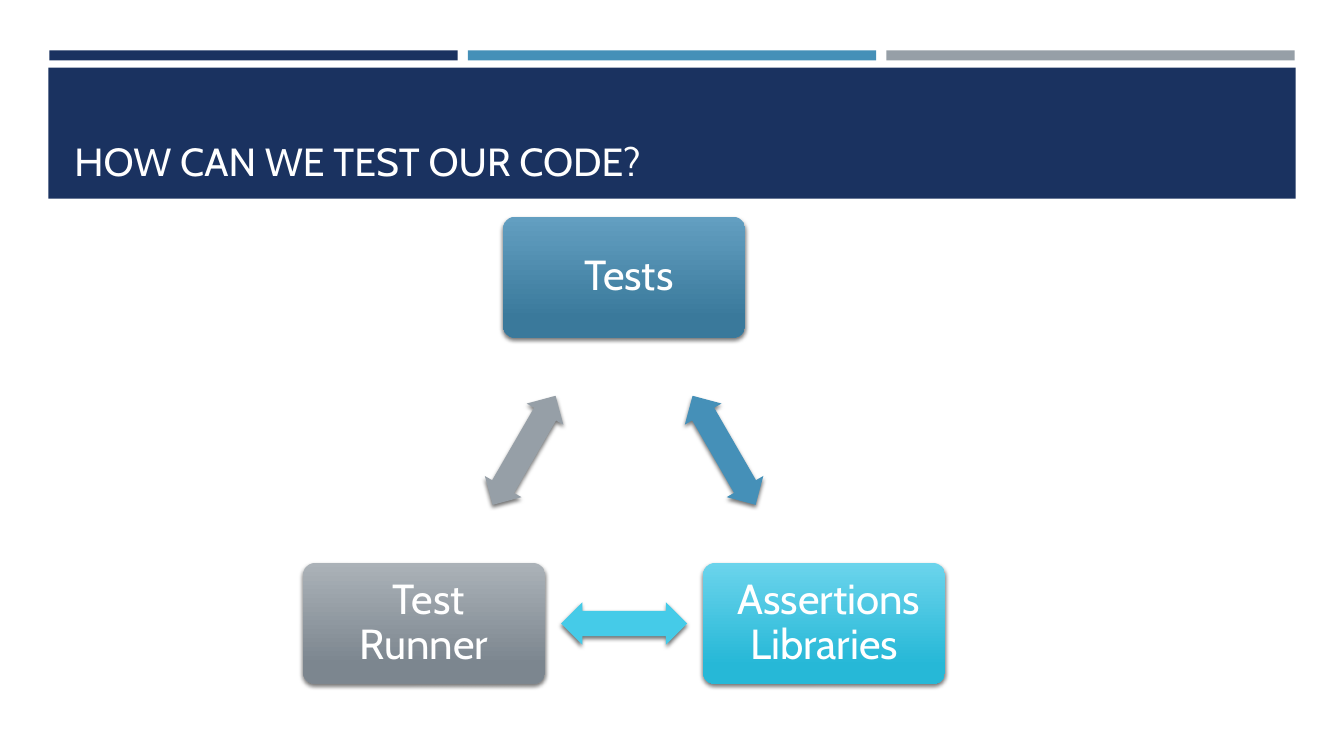
from math import cos, radians, sin

from lxml import etree
from pptx import Presentation
from pptx.dml.color import RGBColor
from pptx.enum.shapes import MSO_SHAPE
from pptx.enum.text import MSO_ANCHOR, PP_ALIGN
from pptx.oxml.ns import qn
from pptx.util import Inches, Pt

RECT = MSO_SHAPE.RECTANGLE
ROUNDED = MSO_SHAPE.ROUNDED_RECTANGLE
DOUBLE_ARROW = MSO_SHAPE.LEFT_RIGHT_ARROW
CENTER = PP_ALIGN.CENTER
MIDDLE, BOTTOM = MSO_ANCHOR.MIDDLE, MSO_ANCHOR.BOTTOM

FONT = "Cabin"
NAVY, BLUE, GRAY, CYAN, WHITE = "1A3260", "4590B8", "969FA7", "45CBE8", "FFFFFF"

# Cycle of three boxes, clockwise from the top
CYCLE_X, CYCLE_Y, CYCLE_RADIUS = 6.19, 5.04, 2.29
BOX_W, BOX_H = 2.4, 1.2
ARROW_W, ARROW_H = 1.25, 0.42
# Label, gradient top, gradient bottom, colour of the arrow to the next box
STEPS = [
    (" Tests", "639FC1", "3A799B", BLUE),
    (" Assertions Libraries", "6BD4EC", "26B8D7", CYAN),
    (" Test Runner", "ABB2B8", "7C868F", GRAY),
]


def rgb(color):
    return RGBColor.from_string(color)


def add_block(slide, kind, left, top, width, height, color=None):
    """Shape without line or shadow, solid if a colour is given."""
    block = slide.shapes.add_shape(
        kind, Inches(left), Inches(top), Inches(width), Inches(height))
    block.shadow.inherit = False
    block.line.fill.background()
    if color:
        block.fill.solid()
        block.fill.fore_color.rgb = rgb(color)
    return block


def add_drop_shadow(block):
    effects = block._element.spPr.find(qn("a:effectLst"))
    shadow = etree.SubElement(
        effects, qn("a:outerShdw"), blurRad=str(Pt(3)), dist=str(Pt(2)),
        dir="5400000", algn="ctr", rotWithShape="0")
    black = etree.SubElement(shadow, qn("a:srgbClr"), val="000000")
    etree.SubElement(black, qn("a:alpha"), val="55000")


def write(frame, text, size, anchor, inset_x, inset_y):
    frame.word_wrap = True
    frame.vertical_anchor = anchor
    frame.margin_left = frame.margin_right = Inches(inset_x)
    frame.margin_top = frame.margin_bottom = Inches(inset_y)
    run = frame.paragraphs[0].add_run()
    run.text = text
    run.font.name = FONT
    run.font.size = Pt(size)
    run.font.color.rgb = rgb(WHITE)
    return frame.paragraphs[0]


def add_header(slide, title):
    # Three strips above the title band
    for i, color in enumerate((NAVY, BLUE, GRAY)):
        add_block(slide, RECT, 0.49 + 4.15 * i, 0.5, 4.05, 0.1, color)
    add_block(slide, RECT, 0.48, 0.67, 12.37, 1.3, NAVY)
    title_box = slide.shapes.add_textbox(
        Inches(0.64), Inches(0.77), Inches(12.06), Inches(1.11))
    write(title_box.text_frame, title, 28, BOTTOM, 0.1, 0.05)


def add_step(slide, x, y, label, top_color, bottom_color):
    box = add_block(slide, ROUNDED, x - BOX_W / 2, y - BOX_H / 2, BOX_W, BOX_H)
    box.adjustments[0] = 0.1
    box.fill.gradient()
    box.fill.gradient_angle = 270
    stops = zip(box.fill.gradient_stops, (0, 0.84), (top_color, bottom_color))
    for stop, position, color in stops:
        stop.position = position
        stop.color.rgb = rgb(color)
    add_drop_shadow(box)
    paragraph = write(box.text_frame, label, 30, MIDDLE, 0.15, 0.15)
    paragraph.alignment = CENTER
    paragraph.line_spacing = 0.9


def add_arrow(slide, x, y, rotation, color):
    arrow = add_block(slide, DOUBLE_ARROW, x - ARROW_W / 2, y - ARROW_H / 2,
                      ARROW_W, ARROW_H, color)
    arrow.adjustments[0] = 0.6
    arrow.adjustments[1] = 0.5
    arrow.rotation = rotation
    add_drop_shadow(arrow)


def cycle_point(angle, radius):
    """Point at a clockwise angle from the top of the cycle."""
    return (CYCLE_X + radius * sin(radians(angle)),
            CYCLE_Y - radius * cos(radians(angle)))


def add_cycle(slide):
    turn = 360 / len(STEPS)
    for i, (label, top_color, bottom_color, arrow_color) in enumerate(STEPS):
        angle = turn * i
        add_step(slide, *cycle_point(angle, CYCLE_RADIUS),
                 label, top_color, bottom_color)
        # Each arrow sits halfway between two neighbouring boxes
        halfway = angle + turn / 2
        midpoint = cycle_point(halfway, CYCLE_RADIUS * cos(radians(turn / 2)))
        add_arrow(slide, *midpoint, halfway, arrow_color)


def main():
    prs = Presentation()
    prs.slide_width, prs.slide_height = Inches(13.33), Inches(7.5)
    slide = prs.slides.add_slide(prs.slide_layouts[6])
    add_header(slide, "HOW CAN WE TEST OUR CODE?")
    add_cycle(slide)
    prs.save("out.pptx")


if __name__ == "__main__":
    main()
